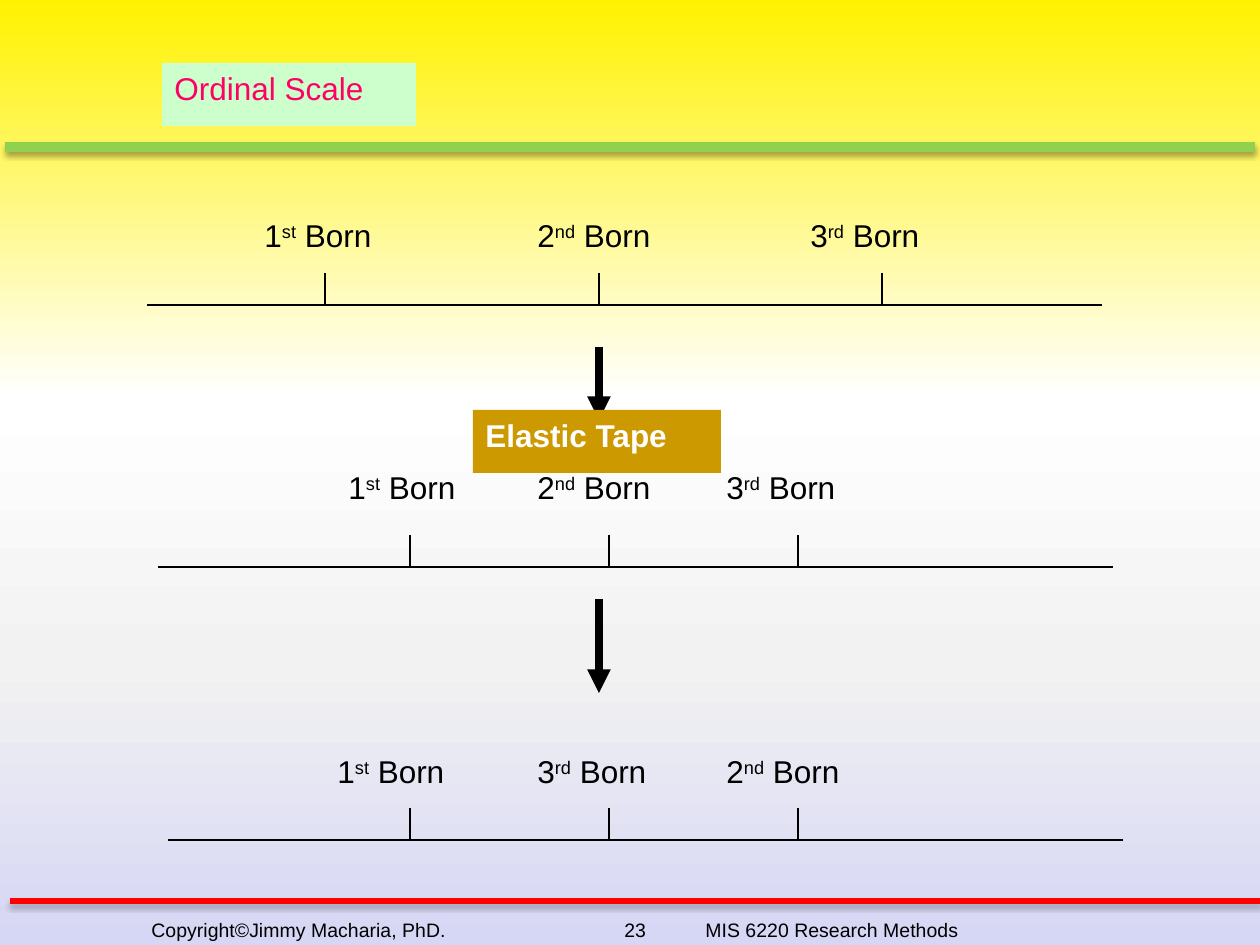
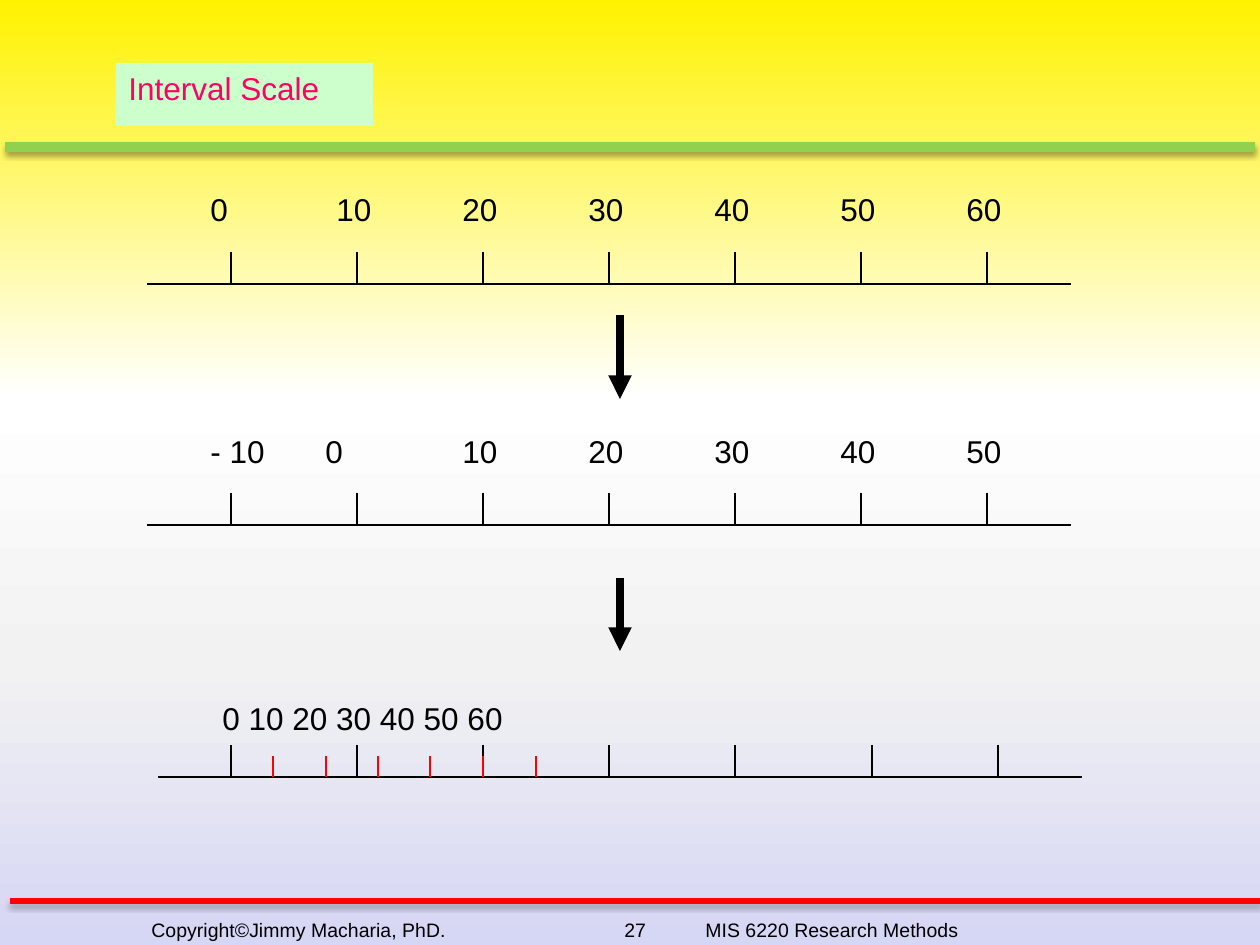
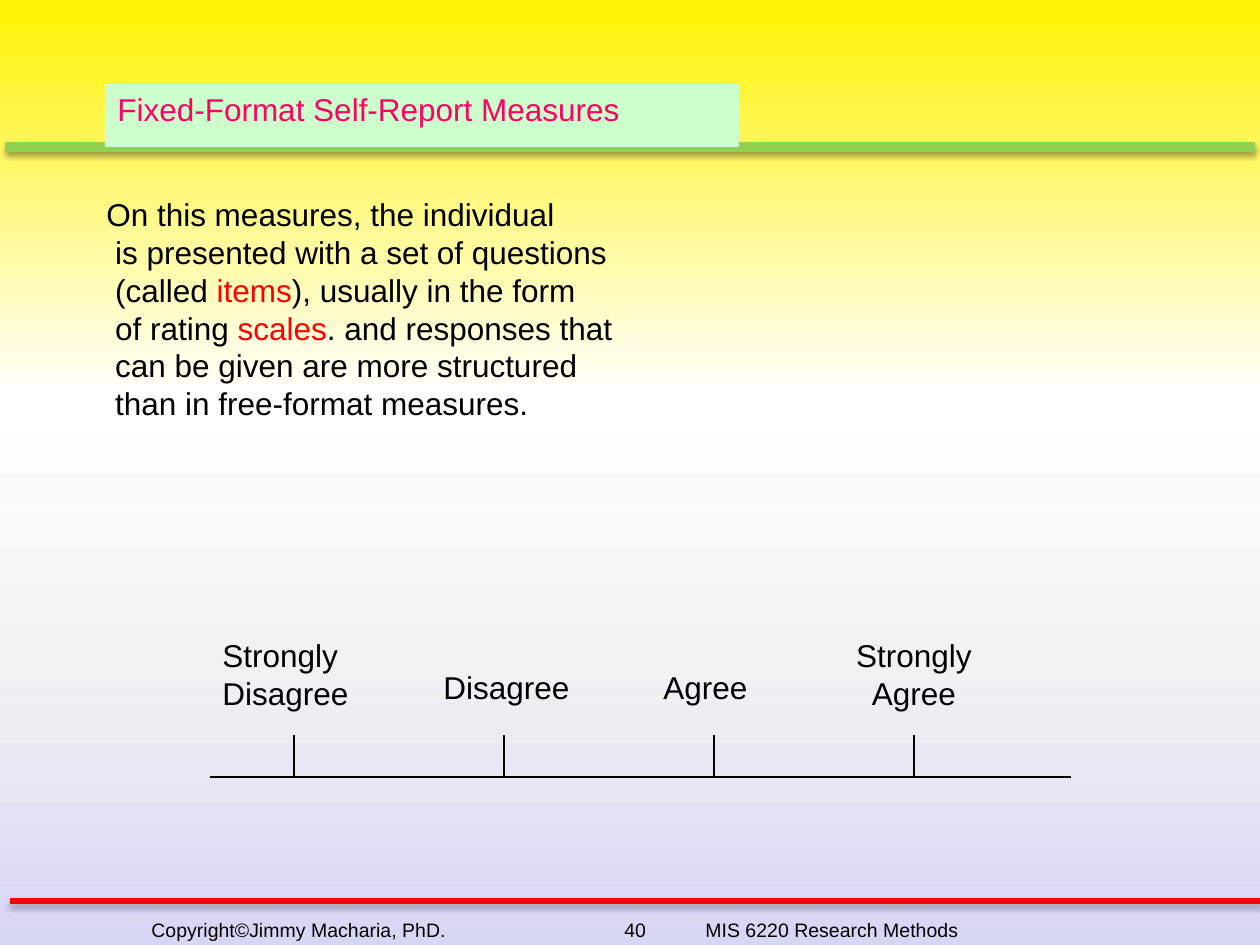
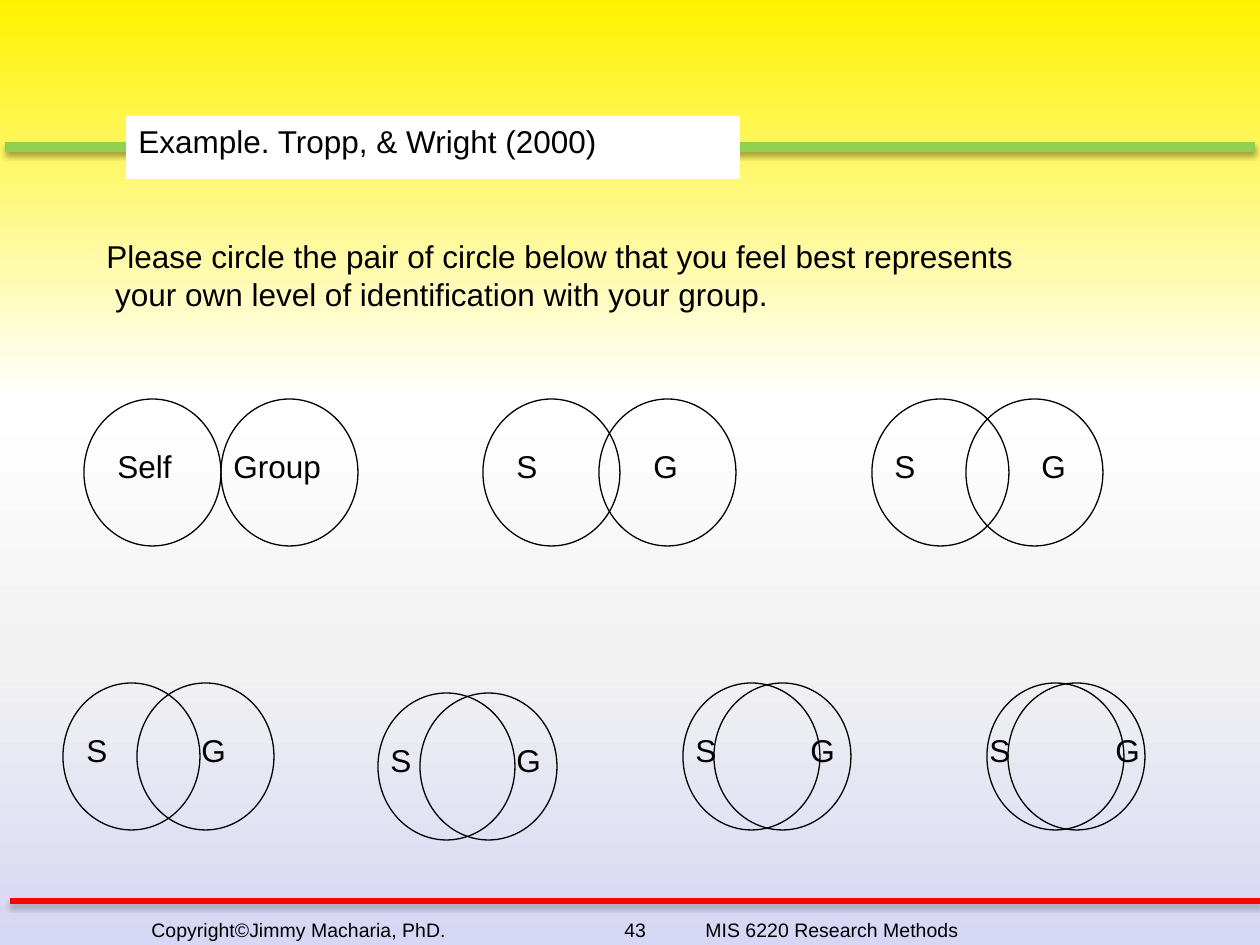
from dataclasses import dataclass
from lxml.etree import SubElement
from pptx import Presentation
from pptx.dml.color import RGBColor
from pptx.enum.shapes import MSO_CONNECTOR, MSO_SHAPE
from pptx.enum.text import MSO_AUTO_SIZE, PP_ALIGN
from pptx.oxml import parse_xml
from pptx.oxml.ns import nsdecls, qn
from pptx.util import Pt


@dataclass(frozen=True)
class Theme:
    font: str = "Arial"
    body: float = 18
    small: float = 11.1
    black: str = "000000"
    white: str = "FFFFFF"
    red: str = "FF0000"
    pink: str = "FF0066"
    mint: str = "CCFFCC"
    gold: str = "CC9900"
    green: str = "92D050"
    thin: float = 0.75
    arrow: float = 4.5
    backdrop: tuple = ((0, "FFF200"), (42, "FFFFFF"), (70, "F2F2F2"), (100, "D6D6F5"))


T = Theme()
PX = 914400 // 126


def add_line(s, x1, y1, x2, y2, color=T.black, width=T.thin, arrow=False, shadow=False):
    c = s.shapes.add_connector(MSO_CONNECTOR.STRAIGHT, x1 * PX, y1 * PX, x2 * PX, y2 * PX)
    c.line.color.rgb = RGBColor.from_string(color)
    c.line.width = Pt(width)
    if arrow:
        SubElement(c.line._get_or_add_ln(), qn("a:tailEnd"), type="triangle")
    effects = SubElement(c._element.spPr, qn("a:effectLst"))
    if shadow:
        outer = SubElement(effects, qn("a:outerShdw"), blurRad=str(Pt(3.1)), dist=str(Pt(1.8)),
                           dir="5400000", rotWithShape="0")
        tint = SubElement(outer, qn("a:srgbClr"), val=T.black)
        SubElement(tint, qn("a:alpha"), val="35000")


def add_text(s, x, y, w, h, text, color=T.black, size=T.body, fill=None, bold=False,
             align=None, wrap=False, tabs=(), accent=None):
    box = (x * PX, y * PX, w * PX, h * PX)
    if fill:
        sp = s.shapes.add_shape(MSO_SHAPE.RECTANGLE, *box)
        sp.shadow.inherit = False
        sp.fill.solid()
        sp.fill.fore_color.rgb = RGBColor.from_string(fill)
        sp.line.fill.background()
    else:
        sp = s.shapes.add_textbox(*box)
    tf = sp.text_frame
    tf.word_wrap = wrap
    tf.auto_size = MSO_AUTO_SIZE.SHAPE_TO_FIT_TEXT
    tf.vertical_anchor = 1
    for i, line in enumerate(text.split("\n")):
        p = tf.add_paragraph() if i else tf.paragraphs[0]
        p.alignment = align or PP_ALIGN.LEFT
        if tabs:
            stops = SubElement(p._p.get_or_add_pPr(), qn("a:tabLst"))
            for stop in tabs:
                SubElement(stops, qn("a:tab"), pos=str(stop * PX), algn="l")
        p.font.name = T.font
        p.font.size = Pt(size)
        p.font.bold = bold
        p.font.color.rgb = RGBColor.from_string(color)
        for j, part in enumerate(line.split("^")):
            r = p.add_run()
            r.text = part
            if j % 2 and accent:
                r.font.color.rgb = RGBColor.from_string(accent)
            elif j % 2:
                r._r.get_or_add_rPr().set("baseline", "30000")


prs = Presentation()
prs.slide_width = 1260 * PX
prs.slide_height = 945 * PX

stops = "".join(f'<a:gs pos="{pos * 1000}"><a:srgbClr val="{color}"/></a:gs>'
                for pos, color in T.backdrop)
cSld = prs.slide_master._element.cSld
old_bg = cSld.find(qn("p:bg"))
if old_bg is not None:
    cSld.remove(old_bg)
cSld.insert(0, parse_xml(
    f'<p:bg {nsdecls("p", "a")}><p:bgPr><a:gradFill rotWithShape="1"><a:gsLst>{stops}</a:gsLst>'
    '<a:lin ang="5400000" scaled="0"/></a:gradFill><a:effectLst/></p:bgPr></p:bg>'))

slides = []
for number, title, x, y, w, color, fill in (
    (23, "Ordinal Scale", 162, 63, 254, T.pink, T.mint),
    (27, "Interval Scale", 116, 63, 257, T.pink, T.mint),
    (40, "Fixed-Format Self-Report Measures", 105, 84, 634, T.pink, T.mint),
    (43, "Example. Tropp, & Wright (2000)", 126, 116, 614, T.black, T.white),
):
    s = prs.slides.add_slide(prs.slide_layouts[6])
    add_line(s, 5, 147, 1255, 147, T.green, 6, shadow=True)
    add_line(s, 10, 901, 1260, 901, T.red, 3, shadow=True)
    add_text(s, 139, 912, 1121, 36, f"Copyright©Jimmy Macharia, PhD.\t{number}\tMIS 6220 Research Methods",
             size=T.small, wrap=True, tabs=(473, 554))
    add_text(s, x, y, w, 63, title, color, fill=fill)
    slides.append(s)
ordinal, interval, fixed, example = slides

s = ordinal
births = {"1^st^ Born": 160, "2^nd^ Born": 169, "3^rd^ Born": 164}
first, second, third = births
for left, base, ticks, top, labels in (
    (147, 305, (325, 599, 882), 210, ((252, first), (525, second), (798, third))),
    (158, 567, (410, 609, 798), 462, ((336, first), (525, second), (714, third))),
    (168, 840, (410, 609, 798), 746, ((325, first), (525, third), (714, second))),
):
    add_line(s, left, base, left + 955, base)
    for x in ticks:
        add_line(s, x, base - 32, x, base)
    for x, label in labels:
        add_text(s, x, top, births[label], 63, label)
for top, bottom in ((347, 420), (599, 693)):
    add_line(s, 599, top, 599, bottom, width=T.arrow, arrow=True)
add_text(s, 473, 410, 248, 63, "Elastic Tape", T.white, fill=T.gold, bold=True)

s = interval
even = [231 + 126 * i for i in range(7)]
for left, base, ticks in ((147, 284, even), (147, 525, even), (158, 777, even[:5] + [872, 998])):
    add_line(s, left, base, left + 924, base)
    for x in ticks:
        add_line(s, x, base - 32, x, base)
for i in range(6):
    x = round(273 + 52.5 * i)
    add_line(s, x, 756, x, 777, T.red)
tabs = [126 * i for i in range(1, 7)]
add_text(s, 198, 184, 823, 63, "0\t10\t20\t30\t40\t50\t60", tabs=tabs)
add_text(s, 198, 426, 823, 63, "- 10\t0\t10\t20\t30\t40\t50", tabs=[115] + tabs[1:])
add_text(s, 210, 693, 362, 63, "0 10 20 30 40 50 60")
for top, bottom in ((315, 399), (578, 651)):
    add_line(s, 620, top, 620, bottom, width=T.arrow, arrow=True)

s = fixed
add_text(s, 94, 189, 629, 315,
         "On this measures, the individual\n is presented with a set of questions\n"
         " (called ^items^), usually in the form\n of rating ^scales^. and responses that\n"
         " can be given are more structured\n than in free-format measures.", accent=T.red)
add_line(s, 210, 777, 1071, 777)
for x in (294, 504, 714, 914):
    add_line(s, x, 735, x, 777)
for x, y, w, h, label, align in (
    (210, 630, 175, 113, "Strongly\nDisagree", PP_ALIGN.LEFT),
    (431, 662, 175, 63, "Disagree", PP_ALIGN.LEFT),
    (651, 662, 129, 63, "Agree", PP_ALIGN.LEFT),
    (829, 630, 170, 113, "Strongly\nAgree", PP_ALIGN.CENTER),
):
    add_text(s, x, y, w, h, label, align=align)

s = example
add_text(s, 94, 231, 1114, 113,
         "Please circle the pair of circle below that you feel best represents\n"
         " your own level of identification with your group.")
for top, self_x, group_x, self_label, group_label in (
    (399, 84, 221, (105, 93, "Self"), (221, 132, "Group")),
    (399, 483, 599, (504, 49, "S"), (641, 55, "G")),
    (399, 872, 966, (882, 49, "S"), (1029, 55, "G")),
    (683, 63, 137, (74, 49, "S"), (189, 55, "G")),
    (693, 378, 420, (378, 49, "S"), (504, 55, "G")),
    (683, 683, 714, (683, 49, "S"), (798, 55, "G")),
    (683, 987, 1008, (977, 49, "S"), (1103, 55, "G")),
):
    for x in (self_x, group_x):
        sp = s.shapes.add_shape(MSO_SHAPE.OVAL, x * PX, top * PX, 137 * PX, 147 * PX)
        sp.shadow.inherit = False
        sp.fill.background()
        sp.line.color.rgb = RGBColor.from_string(T.black)
        sp.line.width = Pt(T.thin)
    for x, w, label in (self_label, group_label):
        add_text(s, x, top + 42, w, 63, label)

prs.save("out.pptx")
